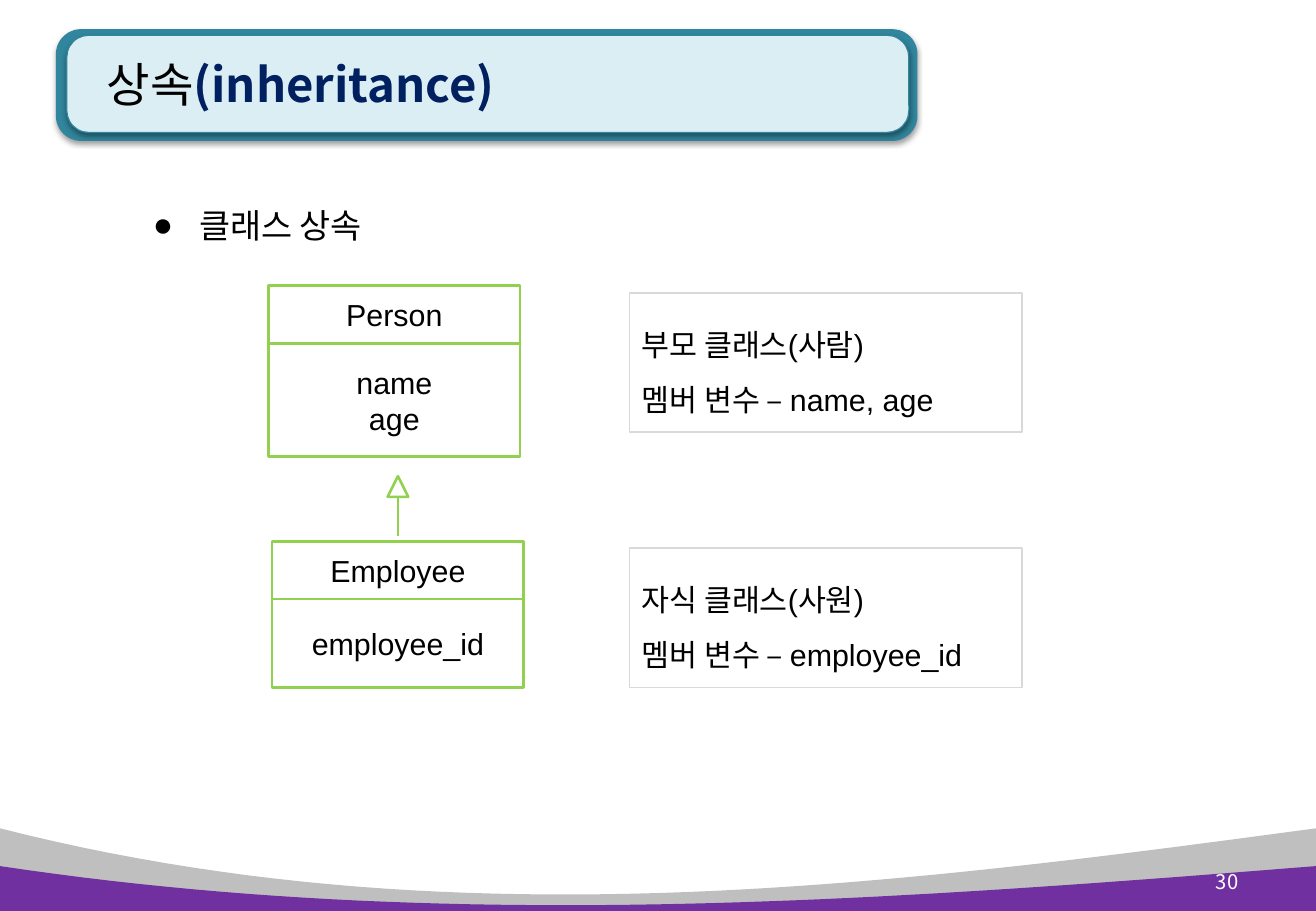
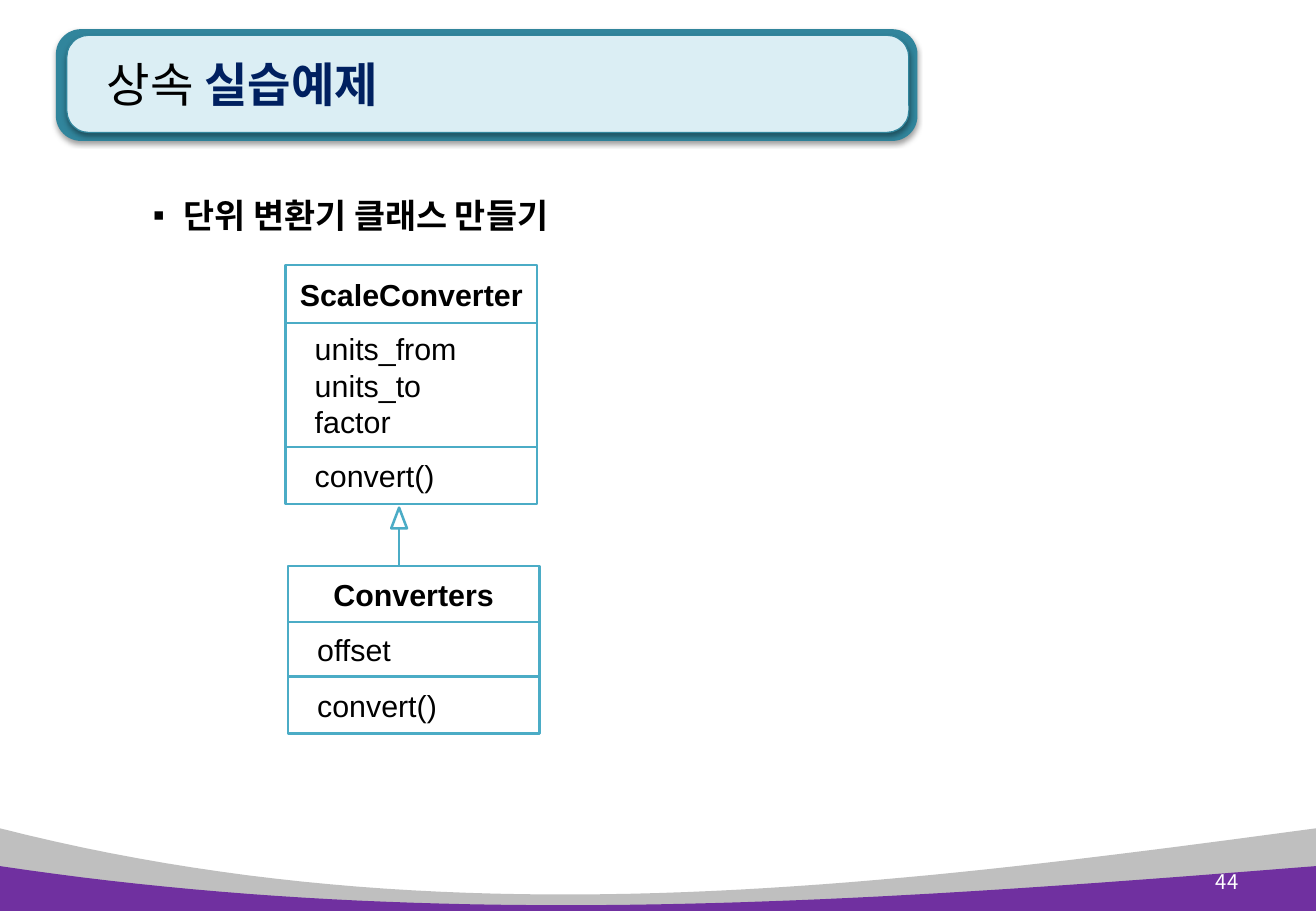
from pptx import Presentation
from pptx.dml.color import RGBColor
from pptx.enum.shapes import MSO_CONNECTOR as CONN, MSO_SHAPE as SHAPE
from pptx.enum.text import MSO_ANCHOR as ANCHOR, MSO_AUTO_SIZE as AUTO, PP_ALIGN as ALIGN
from pptx.oxml import parse_xml
from pptx.oxml.ns import nsdecls, qn
from pptx.util import Inches, Pt

COLORS = {
    "text": "000000", "navy": "002060", "white": "FFFFFF",
    "teal": "31859C", "pale": "DBEEF4", "gray": "BFBFBF", "purple": "7030A0",
    "green": "92D050", "blue": "4BACC6", "note": "D9D9D9",
}
SANS, KOREAN = "Arial", "Noto Sans CJK KR"
CLASS_W, HEAD_H, NOTE_W, NOTE_H = 19.11, 6.27, 29.82, 15.33
ARROW_H = 2.27


def rgb(name):
    return RGBColor.from_string(COLORS[name])


class Deck:
    """Style and current slide; lengths are percentages of the slide size."""

    def __init__(self, prs):
        self.prs = prs
        self.layout = prs.slide_layouts[5]
        self.s = None

    def x(self, share):
        return round(self.prs.slide_width * share / 100)

    def y(self, share):
        return round(self.prs.slide_height * share / 100)

    def box(self, x, y, w, h):
        return self.x(x), self.y(y), self.x(w), self.y(h)

    def slide(self, parts, number):
        first = self.s is None
        self.s = self.prs.slides.add_slide(self.layout)
        if first:
            self.backdrop()
        self.title(parts)
        self.text((89.38, 94.13, 5.63, 5.33), [str(number)], 12, KOREAN,
                  "white", align=ALIGN.RIGHT)

    # Shared backdrop, moved to the layout
    def backdrop(self):
        parts = [
            self.wave("gray", 90.93, 103.33, 97.47),
            self.band((4.25, 3.2, 65.47, 12.27), "teal"),
            self.band((5.08, 3.87, 63.99, 10.67), "pale", "teal"),
            self.wave("purple", 95.07, 102.4, 98.93),
        ]
        for i, part in enumerate(parts):
            self.layout.shapes.element.insert(2 + i, part.element)

    def wave(self, color, edge, dip1, dip2, steps=48):
        points = []
        for i in range(steps + 1):
            t = i / steps
            u = 1 - t
            px = 3 * u * u * t * 33.7 + 3 * u * t * t * 66.48 + t ** 3 * 100
            py = (u ** 3 + t ** 3) * edge + 3 * u * t * (u * dip1 + t * dip2)
            points.append((self.x(px), self.y(py)))
        points += [(self.x(100), self.y(100)), (0, self.y(100))]
        outline = self.s.shapes.build_freeform(*points[0])
        outline.add_line_segments(points[1:], close=True)
        return self.paint(outline.convert_to_shape(), color)

    def band(self, area, fill, line=None):
        sp = self.shape(SHAPE.ROUNDED_RECTANGLE, area, fill, line, 0.75)
        sp.adjustments[0] = 0.225
        effects = sp.element.spPr.find(qn("a:effectLst"))
        effects.append(parse_xml(
            f'<a:outerShdw {nsdecls("a")} blurRad="{Pt(3.1)}" dist="{Pt(1.6)}" '
            'dir="5400000" rotWithShape="0"><a:srgbClr val="000000">'
            '<a:alpha val="38000"/></a:srgbClr></a:outerShdw>'))
        return sp

    # Basic elements
    def paint(self, sp, fill, line=None, width=1.5):
        sp.shadow.inherit = False
        sp.fill.solid()
        sp.fill.fore_color.rgb = rgb(fill)
        if line:
            sp.line.color.rgb = rgb(line)
            sp.line.width = Pt(width)
        else:
            sp.line.fill.background()
        return sp

    def shape(self, kind, area, fill, line=None, width=1.5):
        sp = self.s.shapes.add_shape(kind, *self.box(*area))
        return self.paint(sp, fill, line, width)

    def font(self, r, size, face, color="text", bold=False):
        r.font.size, r.font.name, r.font.bold = Pt(size), face, bold
        r.font.color.rgb = rgb(color)
        latin = r._r.get_or_add_rPr().find(qn("a:latin"))
        latin.addnext(parse_xml(f'<a:ea {nsdecls("a")} typeface="{KOREAN}"/>'))

    def set_lines(self, tf, lines, size=18, face=SANS, color="text", bold=False,
                  align=ALIGN.LEFT, spacing=None, anchor=ANCHOR.MIDDLE):
        tf.word_wrap = True
        tf.vertical_anchor = anchor
        tf.text = "\n".join(lines)
        for p in tf.paragraphs:
            p.alignment, p.line_spacing = align, spacing
            for r in p.runs:
                self.font(r, size, face, color, bold)

    def text(self, area, lines, size, face, color="text", **style):
        tf = self.s.shapes.add_textbox(*self.box(*area)).text_frame
        self.set_lines(tf, lines, size, face, color, **style)
        return tf

    def title(self, parts):
        sp = self.s.shapes.title
        sp.left, sp.top, sp.width, sp.height = self.box(6.37, 2.93, 62.6, 12.53)
        tf = sp.text_frame
        tf.auto_size, tf.word_wrap = AUTO.NONE, True
        tf.vertical_anchor = ANCHOR.MIDDLE
        tf.margin_left = Inches(0.19)
        p = tf.paragraphs[0]
        p.alignment = ALIGN.LEFT
        for part, color in zip(parts, ("text", "navy")):
            r = p.add_run()
            r.text = part
            self.font(r, 28, KOREAN, color, bold=color == "navy")

    def bullet(self, area, line, mark, indent, face, before=0, **style):
        p = self.text(area, [line], 20, face, spacing=1.5, **style).paragraphs[0]
        p.space_before = Pt(before)
        pPr = p._p.get_or_add_pPr()
        pPr.set("marL", str(Inches(indent)))
        pPr.set("indent", str(-Inches(indent)))
        pPr.append(parse_xml(f'<a:buFont {nsdecls("a")} typeface="{SANS}"/>'))
        pPr.append(parse_xml(f'<a:buChar {nsdecls("a")} char="{mark}"/>'))

    # Class diagram
    def class_box(self, x, y, color, sections, bold=False, align=ALIGN.CENTER):
        for i, (h, lines) in enumerate(sections):
            sp = self.shape(SHAPE.RECTANGLE, (x, y, CLASS_W, h), "white", color)
            head = i == 0
            tf = sp.text_frame
            self.set_lines(tf, lines, bold=bold and head,
                           align=ALIGN.CENTER if head else align)
            tf.margin_left = tf.margin_right = Inches(0.05)
            if not head and align == ALIGN.LEFT:
                tf.margin_left = Inches(0.24)
            y += h

    def inherits(self, x, top, bottom, width, color):
        self.shape(SHAPE.ISOSCELES_TRIANGLE,
                   (x - width / 2, top, width, ARROW_H), "white", color)
        line = self.s.shapes.add_connector(
            CONN.STRAIGHT, self.x(x), self.y(top + ARROW_H), self.x(x), self.y(bottom))
        line.line.color.rgb = rgb(color)
        line.line.width = Pt(1.5)
        line.element.spPr.append(parse_xml(f'<a:effectLst {nsdecls("a")}/>'))

    def note(self, y, lines):
        sp = self.shape(SHAPE.RECTANGLE, (47.83, y, NOTE_W, NOTE_H), "white", "note", 1)
        self.set_lines(sp.text_frame, lines, spacing=1.5)


def main():
    prs = Presentation()
    prs.slide_width, prs.slide_height = Inches(10.83), Inches(7.5)
    deck = Deck(prs)

    # Inheritance
    deck.slide(["상속", "(inheritance)"], 30)
    deck.bullet((10.71, 20.4, 27.61, 6.4), "클래스 상속", "●", 0.38, SANS)
    deck.class_box(20.41, 31.33, "green",
                   [(6.4, ["Person"]), (12.4, ["name", "age"])])
    deck.inherits(30.24, 52.27, 58.8, 1.57, "green")
    deck.class_box(20.68, 59.47, "green",
                   [(HEAD_H, ["Employee"]), (9.73, ["employee_id"])])
    deck.note(32.13, ["부모 클래스(사람)", "멤버 변수 – name, age"])
    deck.note(60.13, ["자식 클래스(사원)", "멤버 변수 – employee_id"])

    # Unit converter exercise
    deck.slide(["상속 ", "실습예제"], 44)
    deck.bullet((10.71, 18.53, 61.13, 7.33), "단위 변환기 클래스 만들기", "▪", 0.25,
                KOREAN, before=10, bold=True, anchor=ANCHOR.TOP)
    deck.class_box(21.7, 29.07, "blue", [
        (6.4, ["ScaleConverter"]),
        (13.6, ["units_from", "units_to", "factor"]),
        (HEAD_H, ["convert()"])], bold=True, align=ALIGN.LEFT)
    deck.inherits(30.33, 55.73, 62.27, 1.2, "blue")
    deck.class_box(21.88, 62.13, "blue", [
        (6.13, ["Converters"]), (6, ["offset"]), (HEAD_H, ["convert()"])],
        bold=True, align=ALIGN.LEFT)

    prs.save("out.pptx")


if __name__ == "__main__":
    main()
